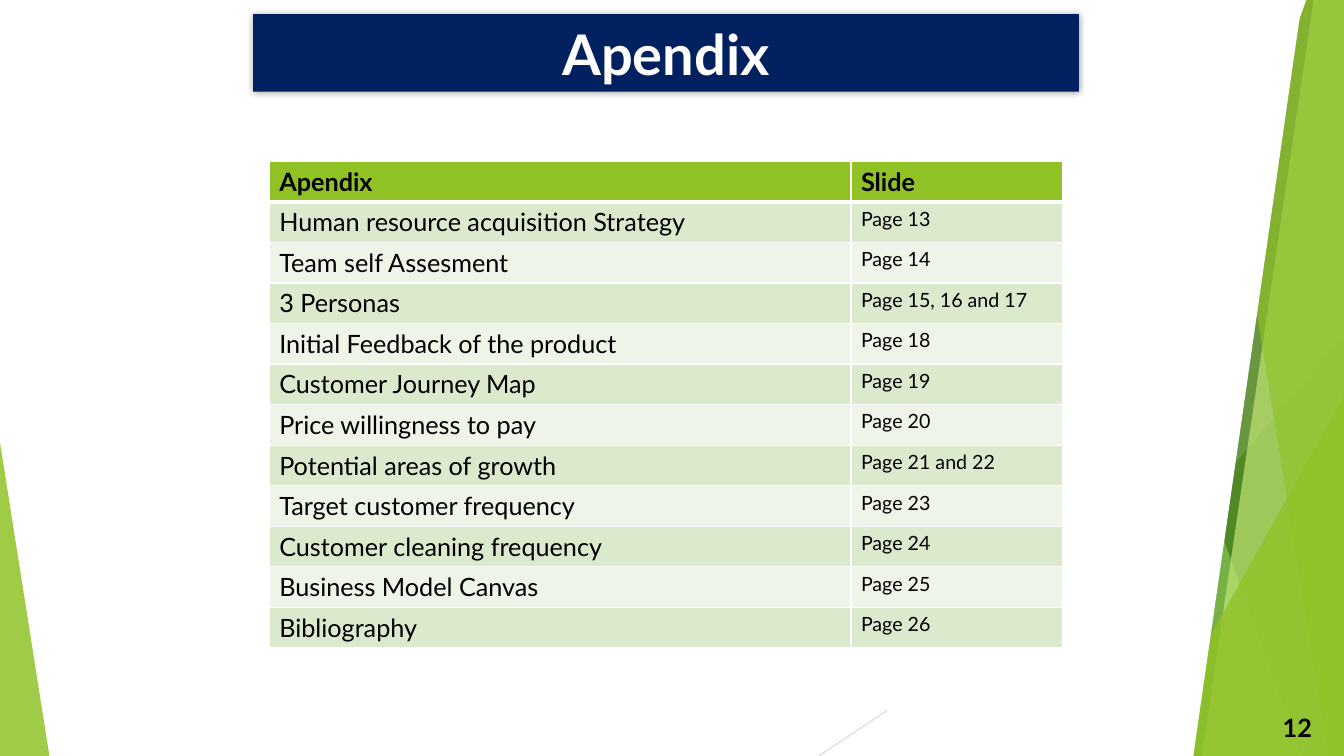
import dataclasses

import lxml.etree
import pptx
import pptx.dml.color
import pptx.enum.shapes
import pptx.enum.text
import pptx.oxml.ns
import pptx.util

Inches = pptx.util.Inches
Pt = pptx.util.Pt
qn = pptx.oxml.ns.qn
Shape = pptx.enum.shapes.MSO_SHAPE
Align = pptx.enum.text.PP_ALIGN
Anchor = pptx.enum.text.MSO_ANCHOR

SLIDE_WIDTH, SLIDE_HEIGHT = 13.33, 7.5

ENTRIES = [
    ("Human resource acquisition Strategy", "Page 13"),
    ("Team self Assesment", "Page 14"),
    ("3 Personas", "Page 15, 16 and 17"),
    ("Initial Feedback of the product", "Page 18"),
    ("Customer Journey Map", "Page 19"),
    ("Price willingness to pay", "Page 20"),
    ("Potential areas of growth", "Page 21 and 22"),
    ("Target customer frequency", "Page 23"),
    ("Customer cleaning frequency", "Page 24"),
    ("Business Model Canvas", "Page 25"),
    ("Bibliography", "Page 26"),
]


@dataclasses.dataclass(frozen=True)
class Theme:
    font: str = "Lato"
    title_size: int = 40
    body_size: int = 18
    page_size: int = 14
    white: str = "FFFFFF"
    black: str = "000000"
    navy: str = "002060"
    green: str = "90C226"
    mid_green: str = "54A021"
    dark_green: str = "3F7819"
    pale_green: str = "C0E474"
    hairline: str = "D9D9D9"
    bands: tuple = ("DBE9CD", "EEF4E8")


def rgb(color):
    return pptx.dml.color.RGBColor.from_string(color)


def add_xml(parent, tag, **attributes):
    child = lxml.etree.SubElement(parent, qn(tag))
    for name, value in attributes.items():
        child.set(name, str(value))
    return child


def write_text(frame, text, *, font, size, color, bold=False, align=Align.LEFT):
    para = frame.paragraphs[0]
    para.alignment = align
    span = para.add_run()
    span.text = text
    span.font.name = font
    span.font.size = Pt(size)
    span.font.bold = bold
    span.font.color.rgb = rgb(color)


class SlideBuilder:
    def __init__(self, slide, theme):
        self.slide = slide
        self.theme = theme

    def paint(self, shape, color, opacity=100):
        """Give a shape a flat fill of the given opacity in percent, without line or shadow."""
        shape.shadow.inherit = False
        shape.line.fill.background()
        shape.fill.solid()
        shape.fill.fore_color.rgb = rgb(color)
        if opacity < 100:
            swatch = shape.fill._xPr.find(".//" + qn("a:srgbClr"))
            add_xml(swatch, "a:alpha", val=opacity * 1000)

    def shape(self, kind, bounds, color, opacity=100, rotation=0, apex=None):
        shape = self.slide.shapes.add_shape(kind, *map(Inches, bounds))
        shape.rotation = rotation
        if apex is not None:
            shape.adjustments[0] = apex
        self.paint(shape, color, opacity)
        return shape

    def facet(self, top_left, bottom_left, color, opacity):
        """Draw a full-height facet whose right side is the slide edge."""
        top = -0.01
        corners = [
            (SLIDE_WIDTH, top),
            (SLIDE_WIDTH, SLIDE_HEIGHT),
            (bottom_left, SLIDE_HEIGHT),
        ]
        builder = self.slide.shapes.build_freeform(Inches(top_left), Inches(top))
        builder.add_line_segments([(Inches(x), Inches(y)) for x, y in corners])
        self.paint(builder.convert_to_shape(), color, opacity)

    def line(self, start, end, color, width):
        line = self.slide.shapes.add_connector(
            pptx.enum.shapes.MSO_CONNECTOR.STRAIGHT, *map(Inches, start + end)
        )
        line.line.color.rgb = rgb(color)
        line.line.width = Pt(width)
        add_xml(line._element.spPr, "a:effectLst")

    def title(self, text, bounds):
        theme = self.theme
        box = self.shape(Shape.RECTANGLE, bounds, theme.navy)
        effects = box._element.spPr.find(qn("a:effectLst"))
        shadow = add_xml(effects, "a:outerShdw", blurRad=Pt(5), dist=0, dir=0)
        add_xml(add_xml(shadow, "a:srgbClr", val=theme.black), "a:alpha", val=40000)
        frame = box.text_frame
        frame.word_wrap = True
        frame.auto_size = pptx.enum.text.MSO_AUTO_SIZE.SHAPE_TO_FIT_TEXT
        write_text(frame, text, font=theme.font, size=theme.title_size,
                   color=theme.white, bold=True, align=Align.CENTER)

    def slide_number(self, text, bounds):
        theme = self.theme
        frame = self.slide.shapes.add_textbox(*map(Inches, bounds)).text_frame
        frame.word_wrap = True
        frame.vertical_anchor = Anchor.MIDDLE
        write_text(frame, text, font=theme.font, size=theme.body_size,
                   color=theme.black, bold=True, align=Align.RIGHT)

    def cell(self, cell, text, size, color, bold, bottom_border):
        write_text(cell.text_frame, text, font=self.theme.font, size=size,
                   color=self.theme.black, bold=bold)
        properties = cell._tc.get_or_add_tcPr()
        borders = {"a:lnL": 1, "a:lnR": 1, "a:lnT": 1, "a:lnB": bottom_border}
        for tag, width in borders.items():
            border = add_xml(properties, tag, w=Pt(width))
            add_xml(add_xml(border, "a:solidFill"), "a:srgbClr", val=self.theme.white)
        cell.fill.solid()
        cell.fill.fore_color.rgb = rgb(color)

    def table(self, header, entries, bounds, widths):
        theme = self.theme
        rows = [header, *entries]
        table = self.slide.shapes.add_table(
            len(rows), len(widths), *map(Inches, bounds)
        ).table
        for column, width in zip(table.columns, widths):
            column.width = Inches(width)
        for row, texts in enumerate(rows):
            is_header = row == 0
            color = theme.green if is_header else theme.bands[(row - 1) % 2]
            sizes = (theme.body_size, theme.body_size if is_header else theme.page_size)
            for column, (text, size) in enumerate(zip(texts, sizes)):
                self.cell(table.cell(row, column), text, size, color,
                          bold=is_header, bottom_border=3 if is_header else 1)


def draw_backdrop(page, theme):
    page.line((13.33, 4.03), (8.12, 7.5), theme.hairline, 0.75)
    page.facet(12.28, 10.04, theme.green, 30)
    page.facet(10.5, 11.83, theme.green, 20)
    page.shape(Shape.ISOSCELES_TRIANGLE, (9.77, 3.33, 3.56, 4.17),
               theme.mid_green, 72, apex=1)
    page.facet(10.21, 12.91, theme.dark_green, 70)
    page.facet(13.03, 11.92, theme.pale_green, 70)
    page.facet(11.96, 13.18, theme.green, 65)
    page.shape(Shape.ISOSCELES_TRIANGLE, (11.34, 3.93, 1.99, 3.57),
               theme.green, 80, apex=1)
    page.shape(Shape.ISOSCELES_TRIANGLE, (0, 4.39, 0.49, 3.11),
               theme.green, 85, apex=0)
    # White pieces trim the facets to a slanted band on the right.
    page.shape(Shape.RECTANGLE, (9.28, -0.7, 3.07, 9.04), theme.white, rotation=8.2)
    page.shape(Shape.ISOSCELES_TRIANGLE, (10.1, -1, 2.18, 2.98),
               theme.white, rotation=290.1)


def main():
    deck = pptx.Presentation()
    deck.slide_width = Inches(SLIDE_WIDTH)
    deck.slide_height = Inches(SLIDE_HEIGHT)
    theme = Theme()
    page = SlideBuilder(deck.slides.add_slide(deck.slide_layouts[6]), theme)
    draw_backdrop(page, theme)
    page.title("Apendix", (2.51, 0.14, 8.19, 0.77))
    page.table(("Apendix", "Slide"), ENTRIES, (2.67, 1.6, 7.87, 4.83), (5.77, 2.1))
    page.slide_number("12", (12.36, 7.02, 0.75, 0.4))
    deck.save("out.pptx")


if __name__ == "__main__":
    main()
